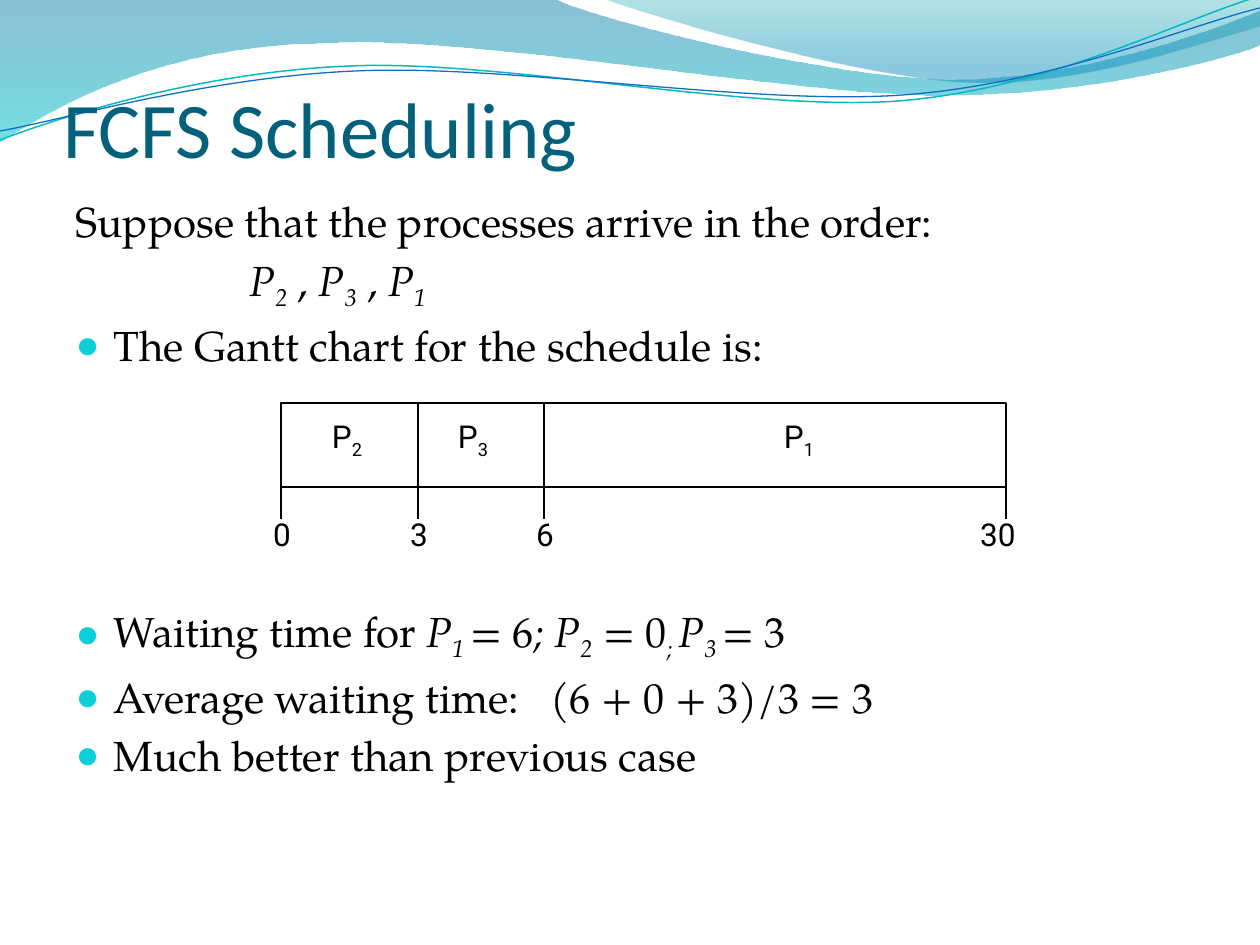
from lxml import etree
from pptx import Presentation
from pptx import util as u
from pptx.dml.color import RGBColor
from pptx.enum import shapes, text
from pptx.oxml import parse_xml
from pptx.oxml.ns import nsdecls, qn

# Content: runs are (text, style); i = italic, s = subscript
TITLE = "FCFS Scheduling"
BODY = [  # kind, runs
    ("lead", [("Suppose that the processes arrive in the order:", "")]),
    ("order", [("P", "i"), ("2", "is"), (" , ", ""), ("P", "i"), ("3", "is"),
               (" , ", ""), ("P", "i"), ("1", "is")]),
    ("bullet", [("The Gantt chart for the schedule is:", "")]),
    ("after chart", [("Waiting time for ", ""), ("P", "i"), ("1 ", "is"), ("=", "i"),
                     (" 6", ""), ("; P", "i"), ("2", "is"), (" = 0", ""),
                     ("; ", "is"), ("P", "i"), ("3 ", "is"), ("= ", "i"), ("3", "")]),
    ("bullet", [("Average waiting time:\t(6 + 0 + 3)/3 = 3", "")]),
    ("bullet", [("Much better than previous case", "")]),
]
PROCESSES = [("2", 347), ("3", 473), ("1", 799)]  # number, label centre
TIMES = [("0", 281, 282), ("3", 418, 419), ("6", 544, 545), ("30", 1006, 998)]  # time, edge, label centre

# Waves: start point, then curves (6 numbers) and straight lines (2 numbers)
BANDS = [  # path, gradient stops (position, colour, opacity)
    ([(0, 0), (554, -1), (600, 21, 837, 79, 955, 79), (1075, 79, 1207, 33, 1260, 11),
      (1261, 45), (1239, 55, 1096, 96, 940, 95), (784, 95, 481, 35, 324, 43),
      (163, 45, 58, 105, -1, 142)],
     [(0, "0074A1", 45), (100, "00C6CF", 55)]),
    ([(604, -1), (641, 14, 859, 78, 969, 82), (1079, 87, 1211, 40, 1260, 26), (1260, 0)],
     [(0, "00A1A9", 30), (80, "008BBF", 45)]),
]
STRANDS = [  # path, colour, width
    ([(0, 140), (60, 117, 199, 72, 349, 66), (498, 59, 747, 112, 898, 101),
      (1050, 89, 1182, 19, 1257, -3)], "0AB8BF", 0.85),
    ([(0, 131), (59, 121, 207, 77, 357, 71), (508, 64, 752, 106, 903, 95),
      (1053, 84, 1186, 26, 1260, 8)], "0F6FC6", 0.75),
]

THEME = dict(title="04617B", ink="000000", paper="FFFFFF", bullet="0BD0D9",
             title_font="Calibri", body_font="TeX Gyre Pagella", chart_font="Roboto",
             title_size=45, body_size=24, chart_size=18, line=0.75)
BAR_TOP, BAR_BOTTOM, TICK_END = 403, 487, 519
HANG, ORDER_INDENT, FORMULA_TAB = 38, 174, 475
SPACE, CHART_SPACE = 4.8, 134.4


def px(n):
    return round(n * 914400 / 126)


def rgb(name):
    return RGBColor.from_string(THEME.get(name, name))


def style(r, font, size, color, flags=""):
    r.font.name, r.font.size = THEME[font], u.Pt(THEME[size])
    r.font.color.rgb = rgb(color)
    if "i" in flags:
        r.font.italic = True
    if "s" in flags:
        r.font._element.set("baseline", "-25000")


def add_runs(p, runs, font, size, color):
    for words, flags in runs:
        r = p.add_run()
        r.text = words
        style(r, font, size, color, flags)


def add_outline(s, path, close):
    """Draw straight steps between the end points, then bend the curved ones."""
    ends = [(px(seg[-2]), px(seg[-1])) for seg in path]
    builder = s.shapes.build_freeform(*ends[0], scale=1.0)
    builder.add_line_segments(ends[1:], close=close)
    sp = builder.convert_to_shape()
    sp.shadow.inherit = False
    steps = list(sp._element.iter(qn("a:lnTo")))
    for step, seg in zip(steps, path[1:]):
        if len(seg) == 6:
            curve = etree.Element(qn("a:cubicBezTo"))
            for x, y in zip(seg[::2], seg[1::2]):
                etree.SubElement(curve, qn("a:pt"), x=str(px(x) - sp.left), y=str(px(y) - sp.top))
            step.getparent().replace(step, curve)
    return sp


def fill_gradient(sp, stops):
    sp.fill.background()
    gs = "".join(f'<a:gs pos="{pos * 1000}"><a:srgbClr val="{c}"><a:alpha val="{a * 1000}"/>'
                 "</a:srgbClr></a:gs>" for pos, c, a in stops)
    none = sp._element.spPr.find(qn("a:noFill"))
    none.getparent().replace(none, parse_xml(
        f'<a:gradFill {nsdecls("a")}><a:gsLst>{gs}</a:gsLst><a:lin ang="5400000"/></a:gradFill>'))


def add_line(s, x, top, bottom):
    c = s.shapes.add_connector(shapes.MSO_CONNECTOR.STRAIGHT, px(x), px(top), px(x), px(bottom))
    c.line.color.rgb, c.line.width = rgb("ink"), u.Pt(THEME["line"])
    etree.SubElement(c._element.spPr, qn("a:effectLst"))


def add_label(s, runs, centre, top, width):
    tf = s.shapes.add_textbox(px(centre - width / 2), px(top), px(width), px(50)).text_frame
    tf.word_wrap, tf.vertical_anchor = False, text.MSO_ANCHOR.MIDDLE
    tf.auto_size = text.MSO_AUTO_SIZE.SHAPE_TO_FIT_TEXT
    p = tf.paragraphs[0]
    p.alignment = text.PP_ALIGN.CENTER
    add_runs(p, runs, "chart_font", "chart_size", "ink")


def format_paragraph(p, kind):
    p.space_before = u.Pt(CHART_SPACE if kind == "after chart" else SPACE)
    pPr = p._p.get_or_add_pPr()
    left, first = (ORDER_INDENT, 0) if kind == "order" else (HANG, -HANG)
    pPr.set("marL", str(px(left)))
    pPr.set("indent", str(px(first)))
    if kind in ("lead", "order"):
        etree.SubElement(pPr, qn("a:buNone"))
        return
    color = etree.SubElement(pPr, qn("a:buClr"))
    etree.SubElement(color, qn("a:srgbClr"), val=THEME["bullet"])
    etree.SubElement(pPr, qn("a:buSzPct"), val="95000")
    etree.SubElement(pPr, qn("a:buChar"), char="●")
    tabs = etree.SubElement(pPr, qn("a:tabLst"))
    etree.SubElement(tabs, qn("a:tab"), pos=str(px(FORMULA_TAB)), algn="l")


def place(s, sp, left, top, width, height):
    sp.left, sp.top, sp.width, sp.height = map(px, (left, top, width, height))
    s.shapes._spTree.append(sp._element)  # in front of the waves
    sp.text_frame.auto_size = text.MSO_AUTO_SIZE.NONE
    return sp.text_frame


def main():
    prs = Presentation()
    prs.slide_width, prs.slide_height = px(1260), px(945)
    s = prs.slides.add_slide(prs.slide_layouts[1])
    title, body = s.placeholders

    # Waves
    for path, stops in BANDS:
        sp = add_outline(s, path, True)
        fill_gradient(sp, stops)
        sp.line.fill.background()
    for path, color, width in STRANDS:
        sp = add_outline(s, path, False)
        sp.fill.background()
        sp.line.color.rgb, sp.line.width = rgb(color), u.Pt(width)

    # Title
    tf = place(s, title, 63, 94, 1062, 80)
    tf.margin_left = tf.margin_right = tf.margin_bottom = 0
    tf.vertical_anchor = text.MSO_ANCHOR.BOTTOM
    tf.text = TITLE
    p = tf.paragraphs[0]
    p.alignment = text.PP_ALIGN.LEFT
    style(p.runs[0], "title_font", "title_size", "title")

    # Body
    tf = place(s, body, 63, 189, 1134, 683)
    for n, (kind, runs) in enumerate(BODY):
        p = tf.add_paragraph() if n else tf.paragraphs[0]
        format_paragraph(p, kind)
        add_runs(p, runs, "body_font", "body_size", "ink")

    # Gantt chart
    edges = [edge for _, edge, _ in TIMES]
    bar = s.shapes.add_shape(shapes.MSO_SHAPE.RECTANGLE, px(edges[0]), px(BAR_TOP),
                             px(edges[-1] - edges[0]), px(BAR_BOTTOM - BAR_TOP))
    bar.shadow.inherit = False
    bar.fill.solid()
    bar.fill.fore_color.rgb = rgb("paper")
    bar.line.color.rgb, bar.line.width = rgb("ink"), u.Pt(THEME["line"])
    for x in edges[1:-1]:
        add_line(s, x, BAR_TOP, BAR_BOTTOM)
    for number, centre in PROCESSES:
        add_label(s, [("P", ""), (number, "s")], centre, 414, 58)
    for time, edge, centre in TIMES:
        add_line(s, edge, BAR_BOTTOM, TICK_END)
        add_label(s, [(time, "")], centre, 509, 26 + 18 * len(time))

    prs.save("out.pptx")


if __name__ == "__main__":
    main()
